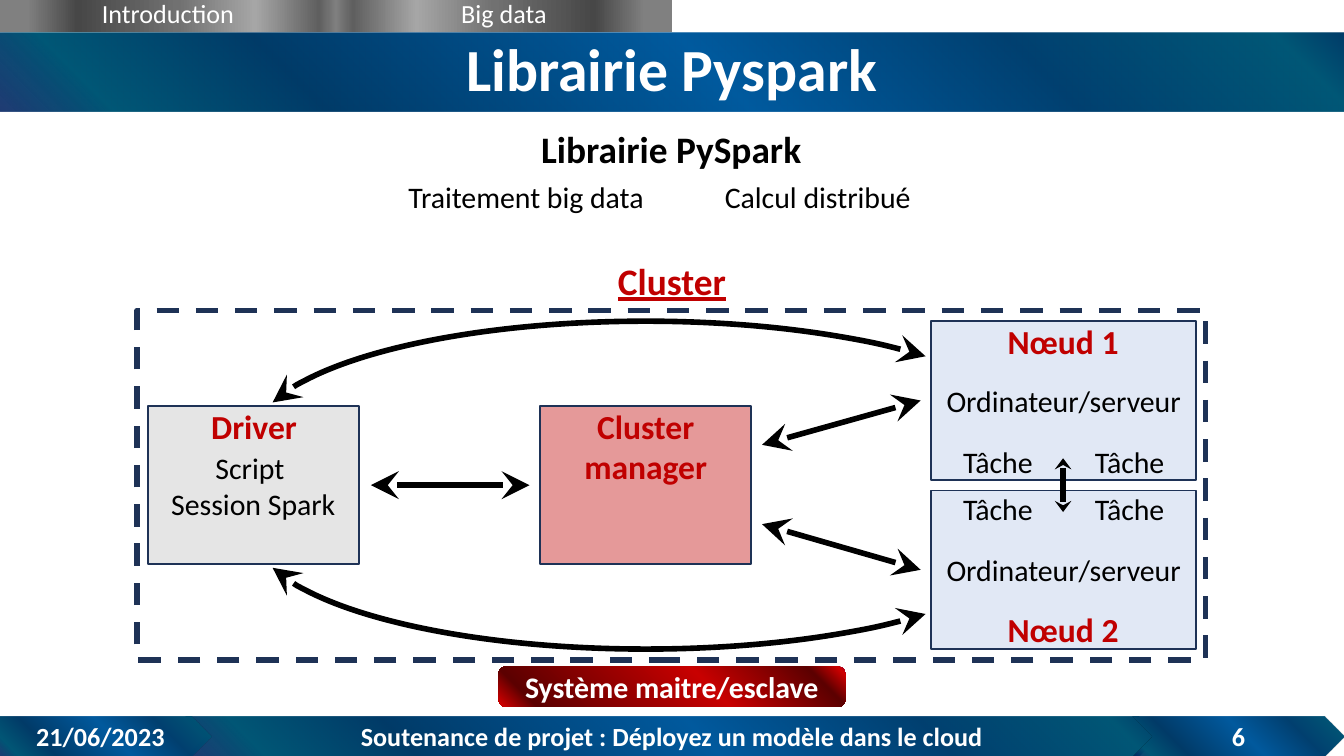
"""Build the PySpark cluster slide."""
import lxml.etree
import pptx
import pptx.dml.color
import pptx.enum.dml
import pptx.enum.shapes
import pptx.enum.text
import pptx.oxml.ns
import pptx.util

HUES = {"black": "000000", "white": "FFFFFF", "red": "C00000", "navy": "1E3256",
        "gray": "BFBFBF", "blue": "B4C7E7"}
BLUES = [(0, "003B68"), (5, "005776"), (24, "004070"), (47, "005A9E"),
         (77, "003B68"), (92, "005776"), (100, "002060")]
GRAYS = [(0, "7F7F7F"), (5, "5F5F5F"), (24, "A6A6A6"), (47, "717171"),
         (77, "474747"), (92, "808080"), (100, "808080")]
REDS = [(0, "990033"), (2, "D00000"), (10, "5C0000"), (40, "C80000"),
        (90, "5C0000"), (99, "D00000"), (100, "000000")]
KINDS = pptx.enum.shapes.MSO_SHAPE


def inches(*sizes):
    return [pptx.util.Inches(size) for size in sizes]


def color(name):
    return pptx.dml.color.RGBColor.from_string(HUES[name])


def add_tag(parent, tag, **attrs):
    return lxml.etree.SubElement(parent, pptx.oxml.ns.qn(tag), attrs)


def write(shape, text, size, hue="black", bold=False, line=False, pad=(0, 0, 0, 0)):
    frame = shape.text_frame
    frame.word_wrap = True
    (frame.margin_left, frame.margin_top,
     frame.margin_right, frame.margin_bottom) = inches(*pad)
    frame.text = text
    for para in frame.paragraphs:
        para.alignment = pptx.enum.text.PP_ALIGN.CENTER
        font = para.font
        font.name, font.size = "Calibri", pptx.util.Pt(size)
        font.bold, font.underline = bold, line
        font.color.rgb = color(hue)


def label(slide, text, box, size, **style):
    shape = slide.shapes.add_textbox(*inches(*box))
    write(shape, text, size, **style)
    shape.text_frame.auto_size = pptx.enum.text.MSO_AUTO_SIZE.SHAPE_TO_FIT_TEXT


def add_shape(slide, kind, box):
    shape = slide.shapes.add_shape(kind, *inches(*box))
    shape.shadow.inherit = False
    shape.fill.background()
    shape.line.fill.background()
    shape.text_frame.vertical_anchor = pptx.enum.text.MSO_ANCHOR.MIDDLE
    return shape


def blend(shape, stops, angle=135):
    shape.fill.gradient()
    grad = shape._element.spPr.find(pptx.oxml.ns.qn("a:gradFill"))
    ramp = grad.find(pptx.oxml.ns.qn("a:gsLst"))
    ramp.clear()
    for place, code in stops:
        stop = add_tag(ramp, "a:gs", pos=str(place * 1000))
        tone = add_tag(stop, "a:srgbClr", val=code)
        if code == "002060":
            add_tag(tone, "a:alpha", val="87000")
    grad.find(pptx.oxml.ns.qn("a:lin")).set("ang", str(angle * 60000))


def banner(slide, kind, box, text, size, stops, angle=135, bold=True, pad=(0, 0, 0, 0)):
    shape = add_shape(slide, kind, box)
    blend(shape, stops, angle)
    write(shape, text, size, "white", bold, pad=pad)


def block(slide, box, hue, text=""):
    shape = add_shape(slide, KINDS.RECTANGLE, box)
    shape.fill.solid()
    shape.fill.fore_color.rgb = color(hue)
    tone = next(shape._element.spPr.iter(pptx.oxml.ns.qn("a:srgbClr")))
    add_tag(tone, "a:alpha", val="40000")
    stroke(shape, "navy", 1)
    if text:
        write(shape, text, 16)


def stroke(shape, hue, width):
    shape.line.color.rgb = color(hue)
    shape.line.width = pptx.util.Pt(width)


def add_heads(shape, width="lg", length="lg"):
    stroke(shape, "black", 3)
    for tag in ("a:headEnd", "a:tailEnd"):
        add_tag(shape.line._get_or_add_ln(), tag, type="stealth", w=width, len=length)


def arrow(slide, ends, *heads):
    link = slide.shapes.add_connector(
        pptx.enum.shapes.MSO_CONNECTOR.STRAIGHT, *inches(*ends))
    add_heads(link, *heads)
    add_tag(link._element.spPr, "a:effectLst")


def curve(slide, top, flip=False):
    arc = add_shape(slide, KINDS.ARC, (1.89, top, 5.83, 1.74))
    arc.adjustments[0], arc.adjustments[1] = 111.274, 206.219
    add_heads(arc)
    if flip:
        arc._element.spPr.xfrm.set("flipV", "1")


def node(slide, name, top, head, task):
    block(slide, (6.93, top, 1.97, 1.18), "blue", "Ordinateur/serveur")
    label(slide, name, (7.32, head, 1.18, 0.3), 18, hue="red", bold=True)
    for left in (7.13, 8.11):
        label(slide, "Tâche", (left, task, 0.59, 0.27), 16)


def add_title(slide):
    title = slide.shapes.title
    title.left, title.top, title.width, title.height = inches(0, 0.24, 10, 0.59)
    blend(title, BLUES)
    write(title, "Librairie Pyspark", 32, "white", True, pad=(0.1, 0.05, 0.1, 0.05))
    title.text_frame.vertical_anchor = pptx.enum.text.MSO_ANCHOR.MIDDLE
    title.text_frame.paragraphs[0].line_spacing = 0.9


def add_bars(slide):
    for kind, left, width, text in (
            (KINDS.CHEVRON, 1.38, 7.24, "Soutenance de projet : Déployez un modèle dans le cloud"),
            (KINDS.CHEVRON, 8.43, 1.57, "6"),
            (KINDS.PENTAGON, 0, 1.57, "21/06/2023")):
        banner(slide, kind, (left, 5.33, width, 0.3), text, 14, BLUES)
    for left, angle, text in ((0, 180, "Introduction"), (2.5, 0, "Big data")):
        banner(slide, KINDS.RECTANGLE, (left, 0, 2.5, 0.24), text, 14, GRAYS,
               angle, False, (0, 0, 0, 0.04))


def add_cluster(slide):
    label(slide, "Cluster", (4.51, 1.92, 0.98, 0.34), 20, hue="red", bold=True, line=True)
    frame = add_shape(slide, KINDS.RECTANGLE, (1.02, 2.31, 7.95, 2.6))
    stroke(frame, "navy", 3)
    frame.line.dash_style = pptx.enum.dml.MSO_LINE.DASH
    block(slide, (1.1, 3.02, 1.57, 1.18), "gray", "Script \nSession Spark")
    label(slide, "Driver", (1.3, 3.02, 1.18, 0.3), 18, hue="red", bold=True)
    block(slide, (4.02, 3.02, 1.57, 1.18), "red")
    label(slide, "Cluster manager", (4.02, 3.02, 1.57, 0.61), 18, hue="red", bold=True)
    for ends in ((2.76, 3.61, 3.94, 3.61), (5.67, 3.31, 6.85, 2.98),
                 (5.67, 3.9, 6.85, 4.24)):
        arrow(slide, ends)
    curve(slide, 2.39)
    curve(slide, 3.09, flip=True)
    node(slide, "Nœud 1", 2.39, 2.39, 3.3)
    node(slide, "Nœud 2", 3.65, 4.53, 3.65)
    arrow(slide, (7.91, 3.41, 7.91, 3.81), "med", "sm")
    banner(slide, KINDS.ROUNDED_RECTANGLE, (3.71, 4.96, 2.58, 0.3),
           "Système maitre/esclave", 16, REDS)


def main():
    deck = pptx.Presentation()
    deck.slide_width, deck.slide_height = inches(10, 10 * 9 / 16)
    slide = deck.slides.add_slide(deck.slide_layouts[5])
    add_title(slide)
    add_bars(slide)
    label(slide, "Librairie PySpark", (3.52, 0.94, 2.95, 0.34), 20, bold=True)
    for left, text in ((2.83, "Traitement big data"), (5, "Calcul distribué")):
        label(slide, text, (left, 1.33, 2.17, 0.27), 16)
    add_cluster(slide)
    deck.save("out.pptx")


if __name__ == "__main__":
    main()
